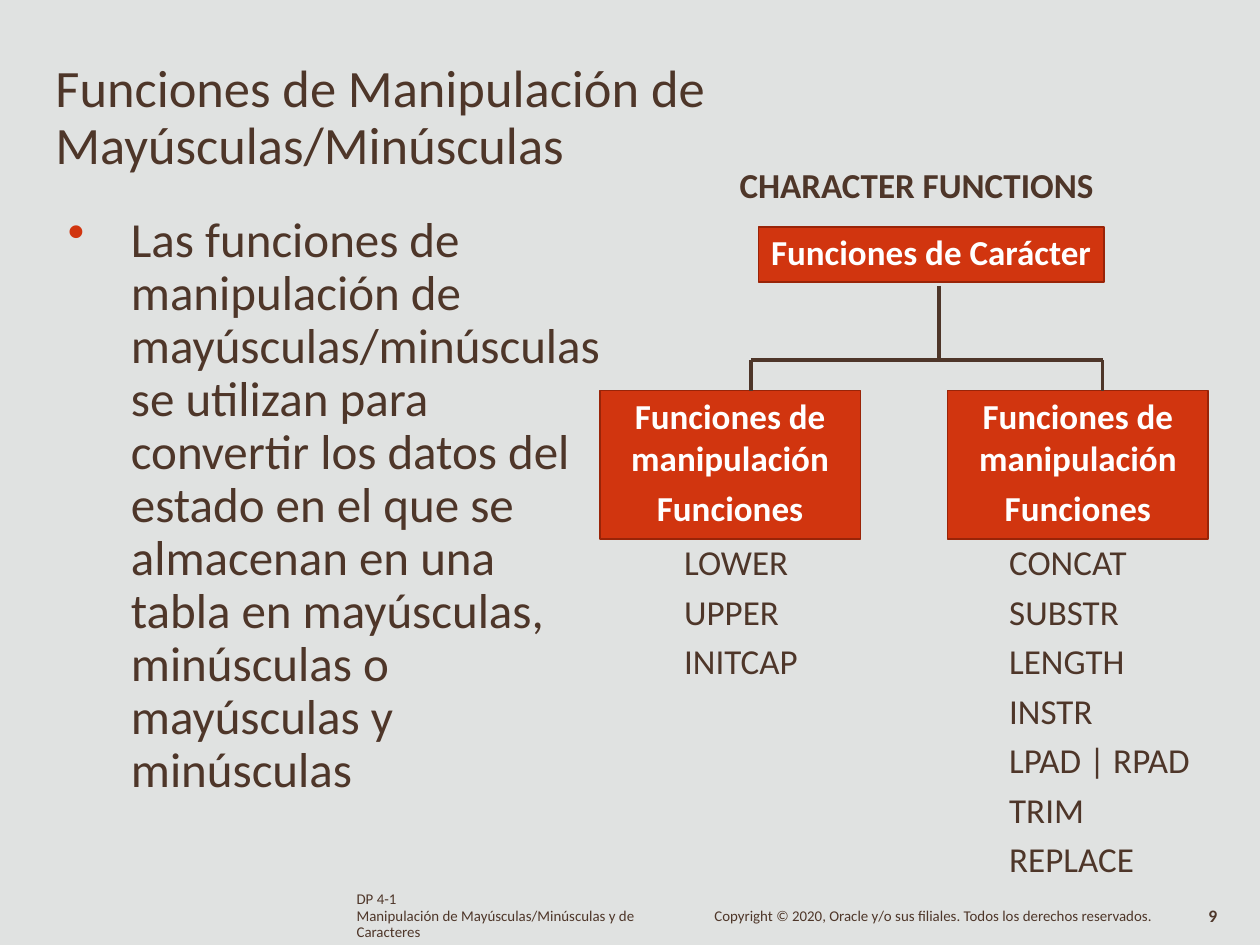
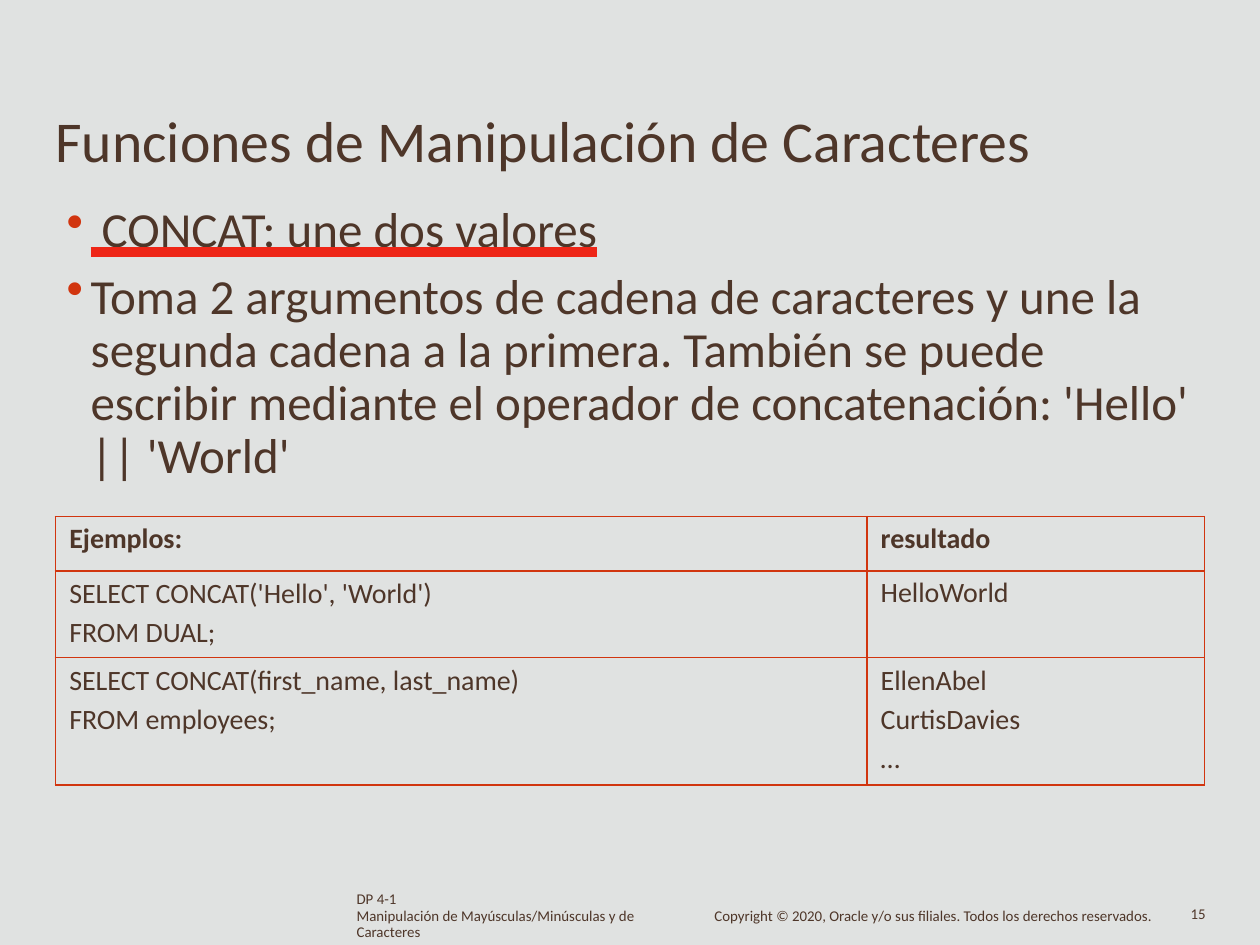
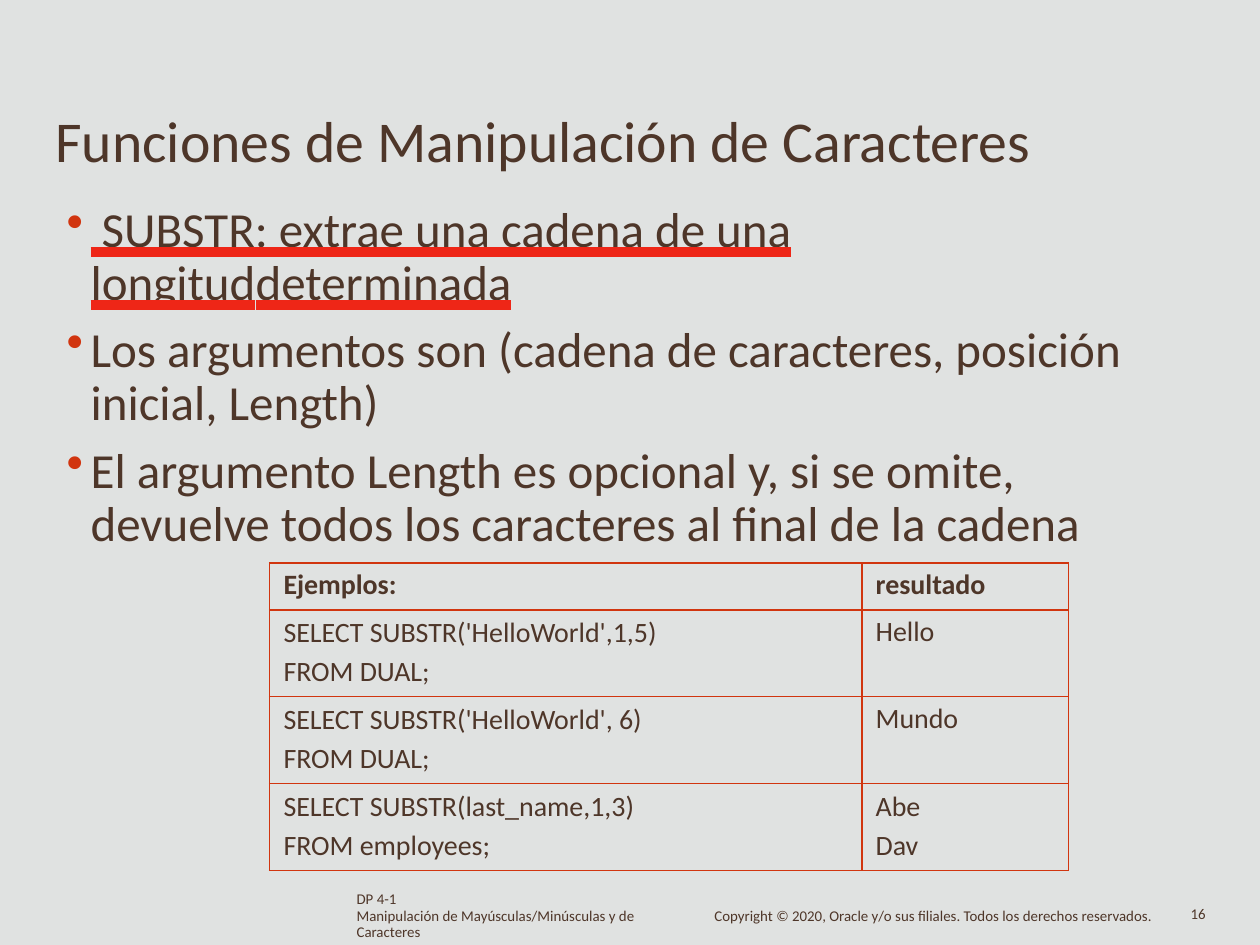
from pptx import Presentation
from pptx.dml.color import RGBColor
from pptx.enum import shapes, text
from pptx.oxml import parse_xml
from pptx.oxml.ns import nsdecls, qn
from pptx.util import Inches, Pt

INK, RED, DARK_RED, PAPER, WHITE = "4E3629", "D1350F", "992408", "E0E2E1", "FFFFFF"
UNDERLINE = "EE2617"
FONT = "Calibri"
LEFT, CENTER = text.PP_ALIGN.LEFT, text.PP_ALIGN.CENTER


def at(*lengths):
    return [Inches(n) for n in lengths]


def write(sp, paras, size=20, color=INK, bold=False, align=LEFT, line=None, before=0,
          left=0.01, hang=0, bullet=False, underline_first=False, top=0.01):
    """Fill a shape or cell; a paragraph is a string or a tuple of pieces."""
    tf = sp.text_frame
    tf.word_wrap = True
    tf.auto_size = text.MSO_AUTO_SIZE.NONE
    tf.vertical_anchor = text.MSO_ANCHOR.TOP
    tf.margin_left = tf.margin_right = tf.margin_bottom = 0
    tf.margin_top = Inches(top)
    for i, para in enumerate(paras):
        p = tf.paragraphs[0] if i == 0 else tf.add_paragraph()
        pPr = p._p.get_or_add_pPr()
        pPr.set("marL", str(Inches(left)))
        pPr.set("indent", str(-Inches(hang)))
        if bullet:
            pPr.append(parse_xml(f'<a:buClr {nsdecls("a")}><a:srgbClr val="{RED}"/></a:buClr>'))
            pPr.append(parse_xml(f'<a:buChar {nsdecls("a")} char="•"/>'))
        p.alignment = align
        p.space_before = Pt(before if i else 0)
        if line:
            p.line_spacing = line
        for piece in (para,) if isinstance(para, str) else para:
            if piece == "\v":
                p.add_line_break()
                continue
            r = p.add_run()
            r.text = piece
            r.font.name, r.font.size, r.font.bold = FONT, Pt(size), bold
            r.font.color.rgb = RGBColor.from_string(color)
            if underline_first and i == 0 and piece != "\t":
                r.font.underline = text.MSO_UNDERLINE.HEAVY_LINE
                r._r.rPr.find(qn("a:latin")).addprevious(parse_xml(
                    f'<a:uFill {nsdecls("a")}><a:solidFill><a:srgbClr val="{UNDERLINE}"/>'
                    '</a:solidFill></a:uFill>'))


prs = Presentation()
prs.slide_width, prs.slide_height = at(10, 7.5)
background = prs.slide_master.background.fill
background.solid()
background.fore_color.rgb = RGBColor.from_string(PAPER)

# Titles and footers: title, title box, title format, page, page format
char_title = ("Funciones de Manipulación de Caracteres", (0.43, 0.82, 8.2, 0.58),
              dict(size=33))
small_page = dict(size=8.5, left=0.04)
pages = [
    ("Funciones de Manipulación de Mayúsculas/Minúsculas", (0.43, 0.42, 5.6, 0.98),
     dict(size=30, line=Pt(32.4), top=0.07), "9", dict(size=10, bold=True, left=0.18)),
    (*char_title, "15", small_page),
    (*char_title, "16", small_page),
]
for title, title_box, title_format, page, page_format in pages:
    s = prs.slides.add_slide(prs.slide_layouts[5])
    sp = s.shapes.title
    sp.left, sp.top, sp.width, sp.height = at(*title_box)
    write(sp, [title], **title_format)
    footers = [
        ((2.82, 7.08, 2.25, 0.4),
         ["DP 4-1", "Manipulación de Mayúsculas/Minúsculas y de Caracteres"],
         dict(size=8.5, line=Pt(9.1), before=0.6)),
        ((5.66, 7.21, 3.6, 0.15),
         ["Copyright © 2020, Oracle y/o sus filiales. Todos los derechos reservados."],
         dict(size=8.5, line=Pt(9.1))),
        ((9.41, 7.18, 0.37, 0.17), [page], page_format),
    ]
    for box, paras, fmt in footers:
        write(s.shapes.add_textbox(*at(*box)), paras, top=0, **fmt)

# Slide 1: function tree
s = prs.slides[0]
write(s.shapes.add_textbox(*at(0.53, 1.63, 4.3, 4.75)),
      [("Las funciones de manipulación de mayúsculas/minúsculas se utilizan para", "\v",
        "convertir los datos del estado en el que se almacenan en una", "\v",
        "tabla en mayúsculas, minúsculas o mayúsculas y minúsculas")],
      size=28, line=Pt(30.3), left=0.51, hang=0.5, bullet=True, top=0.07)
write(s.shapes.add_textbox(*at(5.86, 1.29, 3, 0.36)), ["CHARACTER FUNCTIONS"], bold=True)

branch = ["Funciones de manipulación", "Funciones"]
for box, paras in [((6.02, 1.8, 2.74, 0.44), ["Funciones de Carácter"]),
                   ((4.76, 3.1, 2.07, 1.18), branch),
                   ((7.52, 3.1, 2.07, 1.18), branch)]:
    sp = s.shapes.add_shape(shapes.MSO_SHAPE.RECTANGLE, *at(*box))
    sp.shadow.inherit = False
    sp.fill.solid()
    sp.fill.fore_color.rgb = RGBColor.from_string(RED)
    sp.line.color.rgb = RGBColor.from_string(DARK_RED)
    sp.line.width = Pt(0.96)
    write(sp, paras, color=WHITE, bold=True, align=CENTER, before=4.8, left=0, top=0.03)

trunk_x, left_x, right_x, bar_y = 7.45, 5.96, 8.75, 2.86
for ends in [(trunk_x, 2.27, trunk_x, bar_y), (left_x, bar_y, right_x, bar_y),
             (left_x, bar_y, left_x, 3.1), (right_x, bar_y, right_x, 3.1)]:
    cxn = s.shapes.add_connector(shapes.MSO_CONNECTOR.STRAIGHT, *at(*ends))
    cxn.line.color.rgb = RGBColor.from_string(INK)
    cxn.line.width = Pt(2.28)
    cxn._element.spPr.append(parse_xml(f'<a:effectLst {nsdecls("a")}/>'))

for x, names in [(5.42, ["LOWER", "UPPER", "INITCAP"]),
                 (8, ["CONCAT", "SUBSTR", "LENGTH", "INSTR", "LPAD | RPAD", "TRIM",
                      "REPLACE"])]:
    write(s.shapes.add_textbox(*at(x, 4.22, 1.6, 0.4 * len(names))), names, line=1.18)

# Slides 2 and 3: explanation above a table of examples
header = (["Ejemplos:"], ["resultado"])
examples = [
    (prs.slides[1], 9,
     [" CONCAT: une dos valores",
      ("Toma 2 argumentos de cadena de caracteres y une la", "\v",
       "segunda cadena a la primera. También se puede", "\v",
       "escribir mediante el operador de concatenación: 'Hello'", "\v", "|| 'World'")],
     (0.44, 4.1), (6.44, 2.68), (0.43, 0.69, 1.01),
     [header,
      (["SELECT CONCAT('Hello', 'World')", "FROM DUAL;"], ["HelloWorld"]),
      (["SELECT CONCAT(first_name, last_name)", "FROM employees;"],
       ["EllenAbel", "CurtisDavies", "…"])]),
    (prs.slides[2], 8.6,
     [(" SUBSTR: extrae una cadena de una", "\v", "longitud", "\t", "determinada"),
      ("Los argumentos son (cadena de caracteres, posición", "\v", "inicial, Length)"),
      ("El argumento Length es opcional y, si se omite,", "\v",
       "devuelve todos los caracteres al final de la cadena")],
     (2.14, 4.47), (4.7, 1.64), (0.37, 0.69, 0.69, 0.69),
     [header,
      (["SELECT SUBSTR('HelloWorld',1,5)", "FROM DUAL;"], ["Hello"]),
      (["SELECT SUBSTR('HelloWorld', 6)", "FROM DUAL;"], ["Mundo"]),
      (["SELECT SUBSTR(last_name,1,3)", "FROM employees;"], ["Abe", "Dav"])]),
]
for s, body_width, bullets, corner, widths, heights, rows in examples:
    write(s.shapes.add_textbox(*at(0.53, 1.55, body_width, 2.8)), bullets, size=28,
          line=Pt(30.3), before=8.2, left=0.19, hang=0.19, bullet=True,
          underline_first=True, top=0.07)
    table = s.shapes.add_table(len(rows), len(widths), *at(*corner, sum(widths),
                                                           sum(heights))).table
    table.first_row = table.horz_banding = False
    for column, width in zip(table.columns, widths):
        column.width = Inches(width)
    for i, (row, height) in enumerate(zip(rows, heights)):
        table.rows[i].height = Inches(height)
        for j, lines in enumerate(row):
            cell = table.cell(i, j)
            several = len(lines) > 1
            write(cell, lines, size=16, bold=i == 0, left=0.11,
                  line=Pt(22.3) if several else None)
            cell.margin_left = cell.margin_right = cell.margin_bottom = 0
            cell.margin_top = Inches(0.01 if several else 0.04)
            for side in ("lnL", "lnR", "lnT", "lnB"):
                cell._tc.get_or_add_tcPr().append(parse_xml(
                    f'<a:{side} {nsdecls("a")} w="{Pt(1)}"><a:solidFill>'
                    f'<a:srgbClr val="{RED}"/></a:solidFill></a:{side}>'))
            cell.fill.background()

prs.save("out.pptx")
